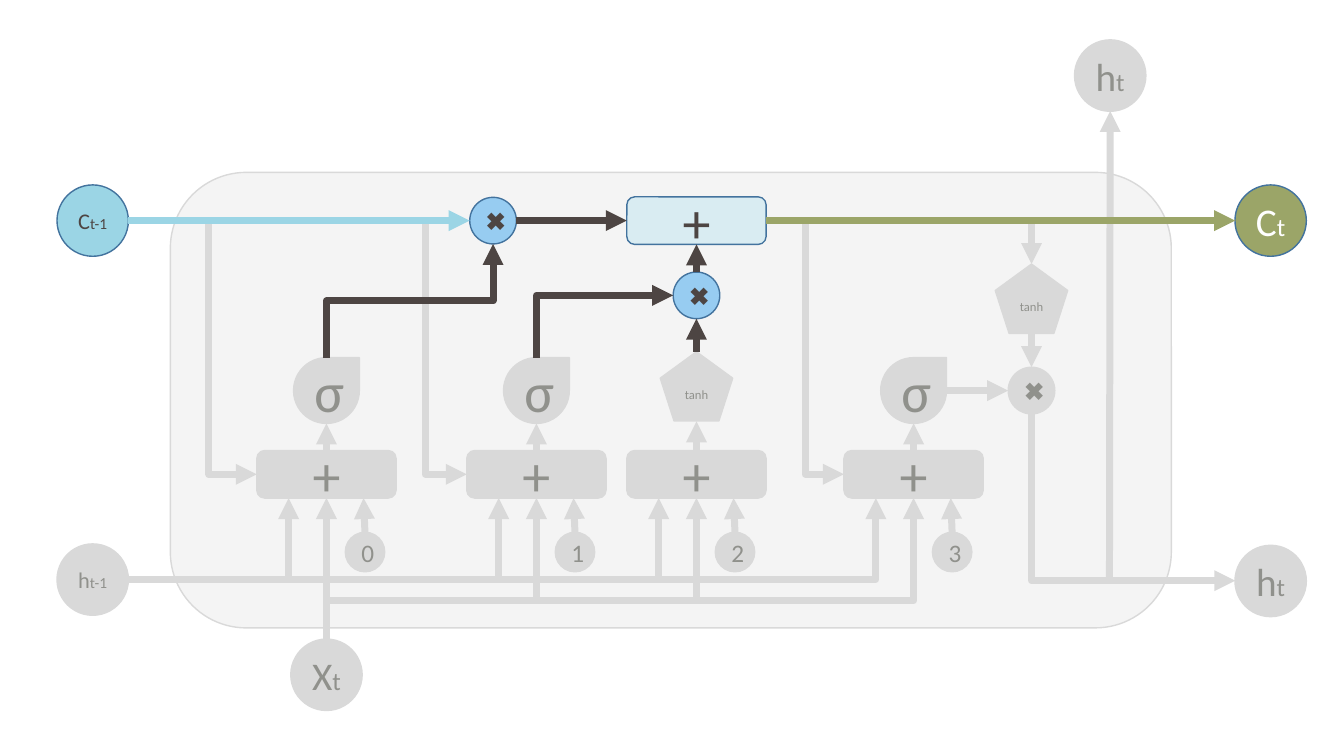
"""Build a slide showing how an LSTM cell updates its memory."""
from lxml import etree
from pptx import Presentation
from pptx import util as u
from pptx.dml.color import RGBColor
from pptx.enum import shapes, text
from pptx.oxml.ns import qn

COLORS = {
    "cell": "F4F4F4", "muted": "D9D9D9", "muted_text": "90918C",
    "dark": "4D4543", "outline": "43739E", "old_memory": "9BD5E5",
    "new_memory": "9BA568", "times": "97CCF1", "sum": "D9ECF2", "white": "FFFFFF",
}
FORM = shapes.MSO_SHAPE


class Diagram:
    """Draws nodes and arrows on one slide in a shared style."""

    def __init__(self, slide, font="Calibri", weight=5):
        self.shapes, self.font, self.weight = slide.shapes, font, weight

    def color(self, name):
        """Return the named colour."""
        return RGBColor.from_string(COLORS[name])

    def node(self, form, center, size, runs=(), fill="muted", line="muted", ink="muted_text"):
        """Draw a shape around its centre, with (text, size) runs."""
        (x, y), (width, height) = center, size
        node = self.shapes.add_shape(form, u.Pt(x - width / 2), u.Pt(y - height / 2),
                                     u.Pt(width), u.Pt(height))
        node.shadow.inherit = False
        node.fill.solid()
        node.fill.fore_color.rgb = self.color(fill)
        node.line.color.rgb = self.color(line)
        node.line.width = u.Pt(1)
        frame = node.text_frame
        frame.word_wrap = False
        frame.vertical_anchor = text.MSO_ANCHOR.MIDDLE
        frame.margin_right = frame.margin_top = frame.margin_bottom = 0
        frame.margin_left = u.Pt(4 if width < 50 else 0)
        label = frame.paragraphs[0]
        label.alignment = text.PP_ALIGN.CENTER
        label.font.name = self.font
        label.font.color.rgb = self.color(ink)
        if len(runs) == 1:
            label.font.size = u.Pt(runs[0][1])
        for words, points in runs:
            run = label.add_run()
            run.text = words
            if len(runs) > 1:
                run.font.size = u.Pt(points)

    def state(self, center, letter, index, sizes=(28, 18), **style):
        """Draw a round input or output of the cell."""
        self.node(FORM.OVAL, center, (51, 51), list(zip((letter, index), sizes)), **style)

    def times(self, center, **style):
        """Draw a multiplication circle."""
        self.node(FORM.OVAL, center, (33.3, 33.3), [("✖", 18)], **style)

    def plus(self, center, **style):
        """Draw an addition box."""
        self.node(FORM.ROUNDED_RECTANGLE, center, (99.5, 34), [("+", 40)], **style)

    def tanh(self, center):
        """Draw a tanh pentagon."""
        self.node(FORM.REGULAR_PENTAGON, center, (51.8, 49.5), [("tanh", 9)])

    def arrow(self, start, end, color="muted", kind=shapes.MSO_CONNECTOR.STRAIGHT):
        """Draw an arrow and return its connector."""
        ends = [u.Pt(value) for value in (*start, *end)]
        arrow = self.shapes.add_connector(kind, *ends)
        arrow.line.color.rgb = self.color(color)
        arrow.line.width = u.Pt(self.weight)
        outline = arrow.element.spPr.find(qn("a:ln"))
        etree.SubElement(outline, qn("a:tailEnd"), type="triangle")
        etree.SubElement(arrow.element.spPr, qn("a:effectLst"))
        return arrow

    def elbow(self, start, end, color="muted", turn=None, upright=False):
        """Draw a bent arrow; turn is the share of the way to a middle bend."""
        arrow = self.arrow(start, end, color, shapes.MSO_CONNECTOR.ELBOW)
        geometry = arrow.element.spPr.find(qn("a:prstGeom"))
        if turn is None:
            geometry.set("prst", "bentConnector2")
        else:
            guides = geometry.find(qn("a:avLst"))
            if guides is None:
                guides = etree.SubElement(geometry, qn("a:avLst"))
            etree.SubElement(guides, qn("a:gd"), name="adj1", fmla=f"val {round(turn * 100000)}")
        if upright:
            width, height = arrow.width, arrow.height
            arrow.left += (width - height) // 2
            arrow.top += (height - width) // 2
            arrow.width, arrow.height = height, width
            frame = arrow.element.spPr.find(qn("a:xfrm"))
            frame.set("rot", str((90 if end[1] < start[1] else 270) * 60000))
            frame.set("flipH", "1")


deck = Presentation()
deck.slide_width, deck.slide_height = u.Pt(960), u.Pt(540)
lstm = Diagram(deck.slides.add_slide(deck.slide_layouts[6]))

GATES = forget, write, candidate, output = 233.2, 383.2, 497.5, 652.6
SIGMOIDS = forget, write, output
memory_y, gate_y, sum_y, bias_y, hidden_y = 157.6, 279, 338.8, 394.3, 414
sum_top, sum_bottom, sigmoid_top, sigmoid_bottom = 321.8, 355.8, 255.6, 302.5
in_x, in_edge, out_x, out_edge = 66.2, 91.7, 907.6, 882.3
forget_x, output_x, hidden_x, update_y = 352.2, 736.8, 793, 211
input_top, sum_half = 456.5, 49.8

lstm.node(FORM.ROUNDED_RECTANGLE, (479.2, 285.8), (715, 325.4), fill="cell")
lstm.state((forget, 482), "X", "t")
lstm.state((in_x, hidden_y), "h", "t-1", (16, 11))
lstm.state((in_x, memory_y), "C", "t-1", (16, 11), fill="old_memory", line="outline", ink="dark")
lstm.state((out_x, memory_y), "C", "t", fill="new_memory", line="outline", ink="white")
lstm.state((out_x, hidden_y + 1), "h", "t")
lstm.state((hidden_x, 54), "h", "t")
for number, x in enumerate(GATES):
    lstm.plus((x, sum_y))
    lstm.node(FORM.OVAL, (x + 27.5, bias_y), (28.2, 28.2), [(str(number), 18)])
for x in SIGMOIDS:
    lstm.node(FORM.TEAR, (x, gate_y), (47, 47), [("σ", 40)])
lstm.tanh((candidate, 276))
lstm.tanh((output_x, 213.4))
active = {"line": "outline", "ink": "dark"}
lstm.times((forget_x, memory_y), fill="times", **active)
lstm.times((candidate, update_y), fill="times", **active)
lstm.times((output_x, gate_y))
lstm.plus((candidate, memory_y), fill="sum", **active)

for x in GATES:
    if x == forget:
        lstm.arrow((x, input_top), (x, sum_bottom))
    else:
        lstm.elbow((forget, input_top), (x, sum_bottom), turn=0.27, upright=True)
    lstm.arrow((x + 27.5, 380.2), (x + 26.5, sum_bottom))
    lstm.elbow((in_edge, hidden_y), (x - 27, sum_bottom))
    lstm.arrow((x, sum_top), (x, 301 if x == candidate else sigmoid_bottom))
memory_out = candidate + sum_half
for x, start, bend in zip(SIGMOIDS, (in_edge, in_edge, memory_out), (149.3, 303.8, 575.4)):
    sum_edge = x - sum_half
    lstm.elbow((start, memory_y), (sum_edge, sum_y), turn=(bend - start) / (sum_edge - start))
lstm.elbow((memory_out, memory_y), (output_x, 188.6))
lstm.arrow((output_x, 238), (output_x, 262.2))
lstm.arrow((output + 23.5, gate_y), (output_x - 16.7, gate_y))
lstm.elbow((output_x, 295.7), (out_edge, hidden_y + 0.8), upright=True)
lstm.arrow((hidden_x - 0.5, hidden_y), (hidden_x, 79.3))

lstm.arrow((in_edge, memory_y), (forget_x - 16.7, memory_y), "old_memory")
lstm.arrow((memory_out, memory_y), (out_edge, memory_y), "new_memory")
lstm.arrow((forget_x + 16.7, memory_y), (candidate - sum_half, memory_y), "dark")
lstm.arrow((candidate, 251.2), (candidate, update_y + 16.7), "dark")
lstm.arrow((candidate, update_y - 16.7), (candidate, memory_y + 17), "dark")
lstm.elbow((write, sigmoid_top), (candidate - 16.7, update_y), "dark", upright=True)
lstm.elbow((forget, sigmoid_top), (forget_x, memory_y + 16.7), "dark", 0.5, True)

deck.save("out.pptx")
